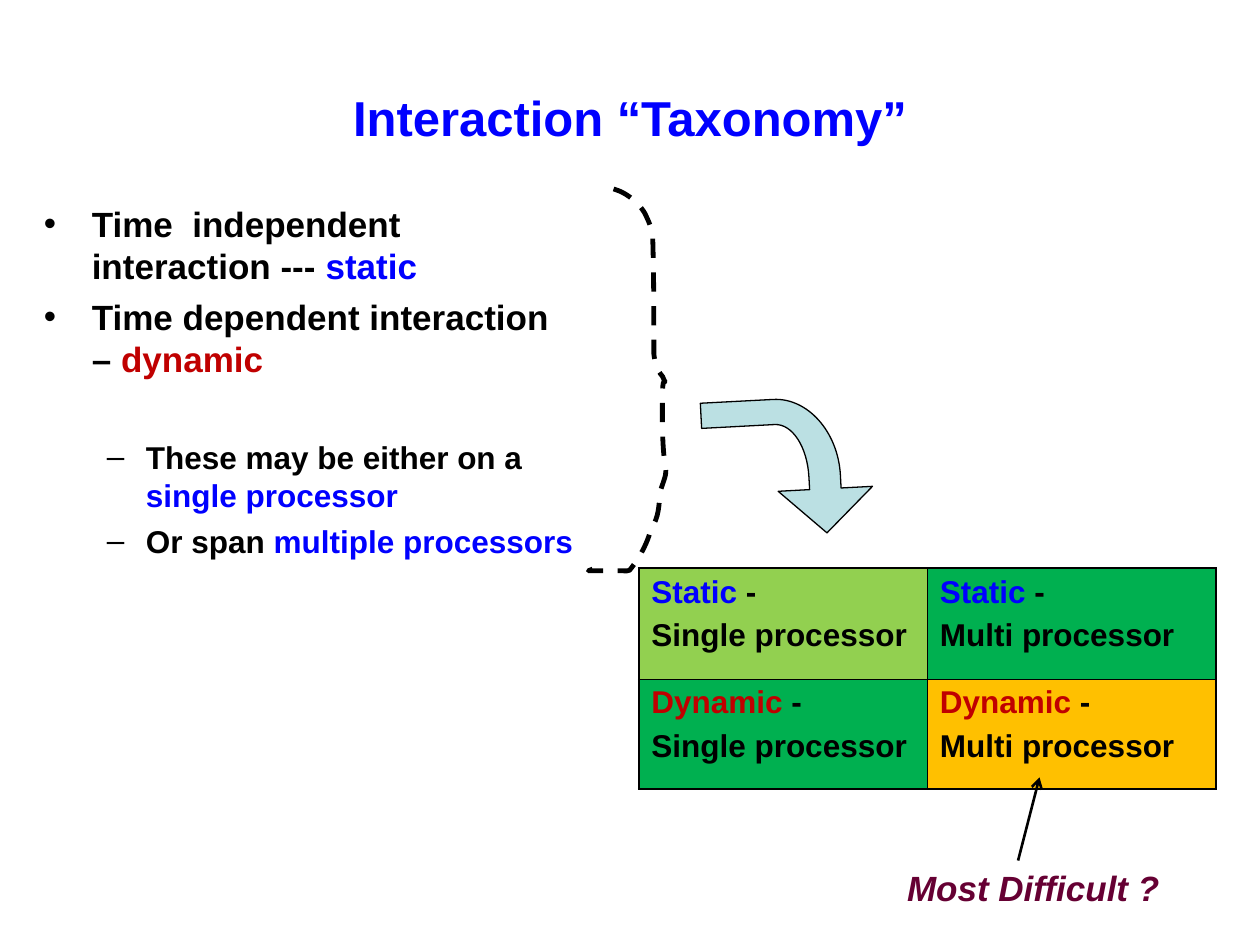
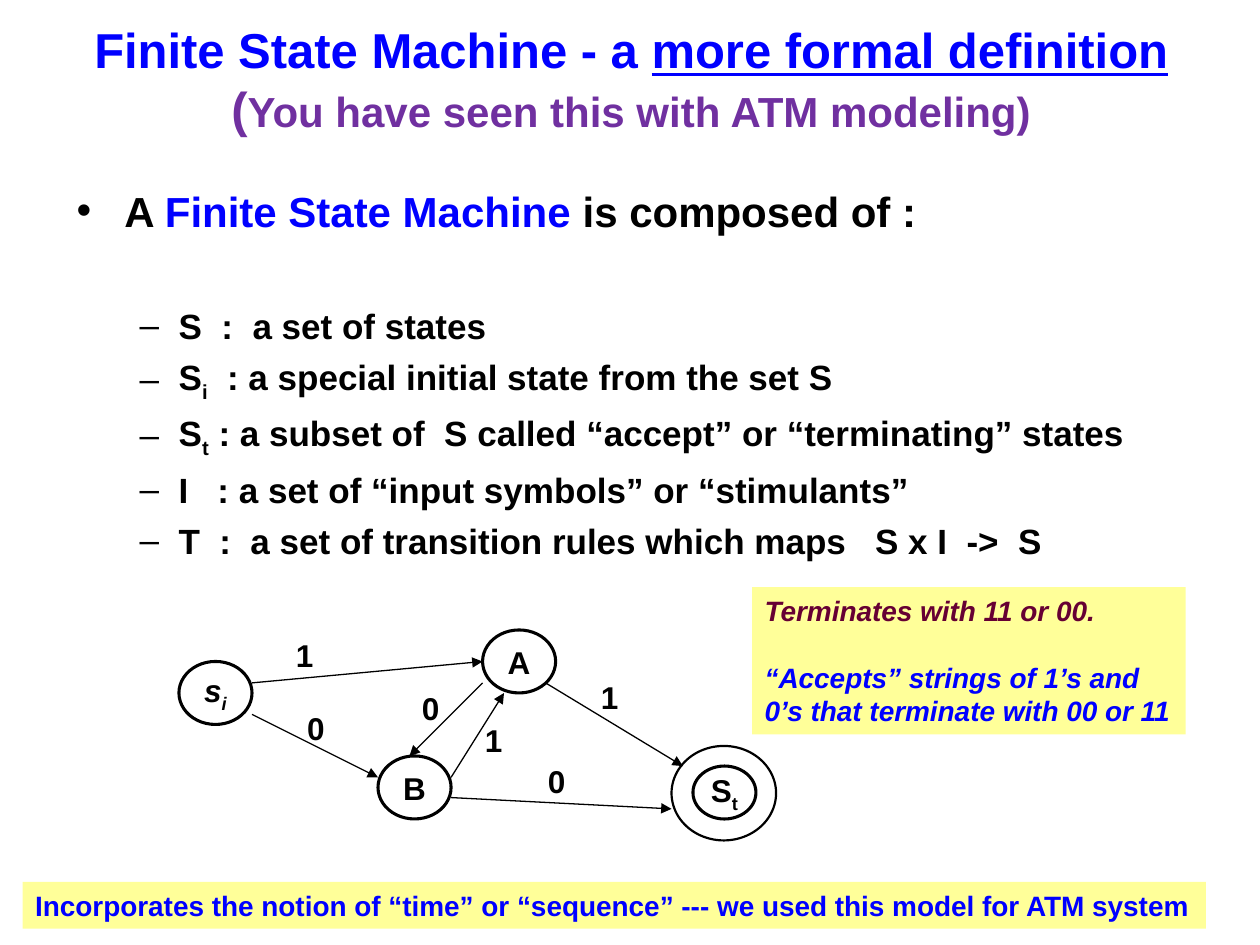
from dataclasses import dataclass

from lxml import etree
from pptx import Presentation
from pptx.dml.color import RGBColor
from pptx.enum.dml import MSO_LINE
from pptx.enum.shapes import MSO_CONNECTOR, MSO_SHAPE
from pptx.enum.text import MSO_ANCHOR, MSO_AUTO_SIZE, PP_ALIGN
from pptx.oxml.ns import qn
from pptx.util import Inches, Pt

STRAIGHT = MSO_CONNECTOR.STRAIGHT
OVAL = MSO_SHAPE.OVAL
MIDDLE = MSO_ANCHOR.MIDDLE
GROW = MSO_AUTO_SIZE.SHAPE_TO_FIT_TEXT
LEFT, CENTER = PP_ALIGN.LEFT, PP_ALIGN.CENTER
DASH = MSO_LINE.DASH


@dataclass(frozen=True)
class Theme:
    font: str = "Arial"
    black: str = "000000"
    white: str = "FFFFFF"
    blue: str = "0000FF"
    red: str = "C00000"
    purple: str = "7030A0"
    maroon: str = "660033"
    yellow: str = "FFFF99"
    aqua: str = "BBE0E3"
    lime: str = "92D050"
    green: str = "00B050"
    amber: str = "FFC000"
    title: int = 28
    large: int = 24
    medium: int = 20
    normal: int = 18
    small: int = 16


theme = Theme()


def write(frame, spans, size, align=LEFT, before=0, italic=False, bullet=None):
    """Add one paragraph; a span is (text, colour) plus optional run settings."""
    first = frame.paragraphs[0]
    para = frame.add_paragraph() if first.runs else first
    para.alignment = align
    para.space_before = Pt(before)
    if bullet:
        margin, hang = (0.38, 0.38) if bullet == "•" else (0.81, 0.31)
        props = para._p.get_or_add_pPr()
        props.set("marL", str(Inches(margin)))
        props.set("indent", str(-Inches(hang)))
        colour = etree.SubElement(props, qn("a:buClr"))
        etree.SubElement(colour, qn("a:srgbClr"), val=theme.black)
        etree.SubElement(props, qn("a:buFont"), typeface=theme.font)
        etree.SubElement(props, qn("a:buChar"), char=bullet)
    for text, colour, *settings in spans:
        if text == "\n":
            para.add_line_break()
            continue
        span = para.add_run()
        span.text = text
        span.font.name = theme.font
        span.font.bold = True
        span.font.italic = italic
        span.font.size = Pt(size)
        span.font.color.rgb = RGBColor.from_string(colour)
        for setting in settings:
            if setting == "underline":
                span.font.underline = True
            elif setting == "subscript":
                span._r.get_or_add_rPr().set("baseline", "-25000")
            else:
                span.font.size = Pt(setting)


def connect(page, start, end, width, head):
    """Draw a straight arrow between two points given in inches."""
    arrow = page.shapes.add_connector(STRAIGHT, *map(Inches, start + end))
    arrow.line.color.rgb = RGBColor.from_string(theme.black)
    arrow.line.width = Pt(width)
    etree.SubElement(arrow.line._get_or_add_ln(), qn("a:tailEnd"), type=head)
    etree.SubElement(arrow._element.spPr, qn("a:effectLst"))


deck = Presentation()
deck.slide_width, deck.slide_height = Inches(10), Inches(7.5)
blank = deck.slide_layouts[6]
taxonomy = deck.slides.add_slide(blank)
machine = deck.slides.add_slide(blank)

# Titles
titles = [
    (taxonomy, (0.5, 0.3, 9, 1.25), [("Interaction “Taxonomy”", theme.blue)]),
    (machine, (0.51, 0.25, 9, 0.75), [
        ("Finite State Machine - a ", theme.blue),
        ("more formal definition", theme.blue, "underline"),
        ("\n", theme.blue),
        ("(", theme.purple),
        ("You have seen this with ATM modeling)", theme.purple, theme.large)]),
]
for page, place, spans in titles:
    frame = page.shapes.add_textbox(*map(Inches, place)).text_frame
    frame.word_wrap = True
    frame.vertical_anchor = MIDDLE
    write(frame, spans, theme.title, CENTER)

# Bullet lists: bullet, size, space before, spans
black, blue = theme.black, theme.blue
lists = [
    (taxonomy, (0.25, 1.56, 4.42, 4.95), [
        ("•", theme.medium, 5, [("Time  independent interaction --- ", black),
                                ("static", blue)]),
        ("•", theme.medium, 5, [("Time dependent interaction – ", black),
                                ("dynamic", theme.red)]),
        ("–", theme.normal, 33.5, [("These may be either on a ", black),
                                   ("single processor", blue)]),
        ("–", theme.normal, 4.5, [("Or span ", black),
                                  ("multiple processors", blue)])]),
    (machine, (0.51, 1.42, 9, 3.25), [
        ("•", theme.large, 6, [("A ", black), ("Finite State Machine ", blue),
                               ("is composed of :", black)]),
        ("–", theme.medium, 39.5, [("S  :  a set of states", black)]),
        ("–", theme.medium, 5, [
            ("S", black), ("i", black, "subscript"),
            ("  : a special initial state from the set S", black)]),
        ("–", theme.medium, 5, [
            ("S", black), ("t", black, "subscript"),
            (" : a subset of  S called “accept” or “terminating” states", black)]),
        ("–", theme.medium, 5, [
            ("I   : a set of “input symbols” or “stimulants”", black)]),
        ("–", theme.medium, 5, [
            ("T  :  a set of transition rules which maps   S x I  ->  S", black)])]),
]
for page, place, items in lists:
    frame = page.shapes.add_textbox(*map(Inches, place)).text_frame
    frame.word_wrap = True
    for bullet, size, before, spans in items:
        write(frame, spans, size, before=before, bullet=bullet)

# Taxonomy table
kinds = [("Static", theme.blue), ("Dynamic", theme.red)]
processors = ["Single processor", "Multi processor"]
fills = [[theme.lime, theme.green], [theme.green, theme.amber]]
table = taxonomy.shapes.add_table(
    2, 2, *map(Inches, (5.07, 4.51, 4.58, 1.75))).table
table.first_row = table.horz_banding = False
table.rows[0].height, table.rows[1].height = Inches(0.88), Inches(0.87)
for row, (kind, colour) in enumerate(kinds):
    for column, processor in enumerate(processors):
        cell = table.cell(row, column)
        write(cell.text_frame, [(kind, colour), (" -", black)],
              theme.normal, before=4.5)
        write(cell.text_frame, [(processor, black)], theme.normal, before=4.5)
        outer_sides = {"L": column == 0, "R": column == 1,
                       "T": row == 0, "B": row == 1}
        for side, outer in outer_sides.items():
            border = etree.SubElement(
                cell._tc.get_or_add_tcPr(), qn("a:ln" + side),
                w=str(Pt(1.08 if outer else 0.45)))
            paint = etree.SubElement(border, qn("a:solidFill"))
            etree.SubElement(paint, qn("a:srgbClr"), val=black)
        cell.fill.solid()
        cell.fill.fore_color.rgb = RGBColor.from_string(fills[row][column])

# Dashed brace and bent arrow: a step is one point, or three for a curve
brace = [
    [(4.87, 1.5)],
    [(4.98, 1.53), (5.1, 1.63), (5.14, 1.74)],
    [(5.15, 1.76), (5.16, 1.79), (5.17, 1.82)],
    [(5.17, 1.83), (5.18, 1.86), (5.18, 1.86)],
    [(5.19, 2.18), (5.19, 2.49), (5.19, 2.81)],
    [(5.2, 2.89), (5.21, 2.93), (5.26, 2.99)],
    [(5.3, 3.09), (5.27, 2.97), (5.26, 3.07)],
    [(5.24, 3.92), (5.34, 3.61), (5.24, 3.9)],
    [(5.23, 4.01), (5.23, 4.11), (5.17, 4.19)],
    [(5.14, 4.31), (5.08, 4.42), (5.01, 4.51)],
    [(5, 4.54), (4.96, 4.53), (4.93, 4.53)],
    [(4.84, 4.53), (4.76, 4.53), (4.67, 4.53)],
    [(4.75, 4.5)],
]
bent_arrow = [
    [(6.79, 3.42)], [(6.44, 3.04)], [(6.44, 3.29)], [(6.34, 3.29)],
    [(5.99, 3.29), (5.71, 3.52), (5.71, 3.79)],
    [(5.71, 4.37)], [(5.91, 4.37)], [(5.91, 3.79)],
    [(5.91, 3.65), (6.1, 3.54), (6.34, 3.54)],
    [(6.44, 3.54)], [(6.44, 3.79)],
]
for steps, fill, width, turn in [(brace, None, 2.75, 0),
                                 (bent_arrow, theme.aqua, 0.75, 87)]:
    points = [(Inches(x), Inches(y)) for step in steps for x, y in step]
    builder = taxonomy.shapes.build_freeform(*points[0])
    builder.add_line_segments(points[1:], close=fill is not None)
    outline = builder.convert_to_shape()
    outline.rotation = turn
    outline.shadow.inherit = False
    outline.line.color.rgb = RGBColor.from_string(black)
    outline.line.width = Pt(width)
    if fill:
        outline.fill.solid()
        outline.fill.fore_color.rgb = RGBColor.from_string(fill)
    else:
        outline.fill.background()
        outline.line.dash_style = DASH
    # Join each group of three points into one curve
    segments = iter(list(outline._element.iter(qn("a:lnTo"))))
    for step in steps[1:]:
        group = [next(segments) for _ in step]
        if len(group) == 3:
            curve = etree.Element(qn("a:cubicBezTo"))
            group[0].addprevious(curve)
            for segment in group:
                curve.append(segment[0])
                segment.getparent().remove(segment)

connect(taxonomy, (8.08, 6.83), (8.25, 6.17), 1.5, "arrow")

# States of the machine
states = [
    ((1.42, 5.25, 0.58, 0.5), 1.75, [("s", black), ("i", black, "subscript")], True),
    ((3, 6, 0.58, 0.5), 1.75, [("B", black)], False),
    ((3.83, 5, 0.58, 0.5), 1.75, [("A", black)], False),
    ((5.33, 5.92, 0.83, 0.75), 1.25, [], False),
    ((5.5, 6.08, 0.5, 0.42), 1.75, [("S", black), ("t", black, "subscript")], False),
]
for place, width, spans, italic in states:
    state = machine.shapes.add_shape(OVAL, *map(Inches, place))
    state.shadow.inherit = False
    state.fill.solid()
    state.fill.fore_color.rgb = RGBColor.from_string(theme.white)
    state.line.color.rgb = RGBColor.from_string(black)
    state.line.width = Pt(width)
    state.text_frame.word_wrap = False
    state.text_frame.vertical_anchor = MIDDLE
    write(state.text_frame, spans, theme.normal, CENTER, italic=italic)

# Transitions
transitions = [
    ((2, 5.42), (3.83, 5.25)), ((4.33, 5.42), (5.42, 6.08)),
    ((2, 5.67), (3, 6.17)), ((3.58, 6.33), (5.33, 6.42)),
    ((3.83, 5.42), (3.25, 6)), ((3.58, 6.17), (4, 5.5)),
]
for start, end in transitions:
    connect(machine, start, end, 0.75, "triangle")

# Captions, transition labels and yellow notes: lines are (text, colour, space before)
captions = [
    (taxonomy, (7.1, 6.83, 2.21, 0.44), None, theme.medium, True,
     [("Most Difficult ?", theme.maroon, 0)]),
    (machine, (5.97, 4.66, 3.44, 1.17), theme.yellow, theme.small, True,
     [("Terminates with 11 or 00.", theme.maroon, 0),
      ("“Accepts” strings of 1’s and", blue, 19),
      ("0’s that terminate with 00 or 11", blue, 0)]),
    (machine, (0.18, 7, 9.39, 0.37), theme.yellow, theme.small, False,
     [("Incorporates the notion of “time” or “sequence” --- "
       "we used this model for ATM system", blue, 0)]),
]
symbols = [("1", 2.25, 5), ("1", 4.67, 5.33), ("0", 2.34, 5.58),
           ("0", 3.25, 5.42), ("0", 4.25, 6), ("1", 3.75, 5.67)]
for symbol, left, top in symbols:
    captions.append((machine, (left, top, 0.34, 0.4), None, theme.normal, False,
                     [(symbol, black, 0)]))
for page, place, fill, size, italic, lines in captions:
    box = page.shapes.add_textbox(*map(Inches, place))
    if fill:
        box.fill.solid()
        box.fill.fore_color.rgb = RGBColor.from_string(fill)
    box.text_frame.word_wrap = False
    box.text_frame.auto_size = GROW
    for text, colour, before in lines:
        write(box.text_frame, [(text, colour)], size, before=before, italic=italic)

deck.save("out.pptx")
